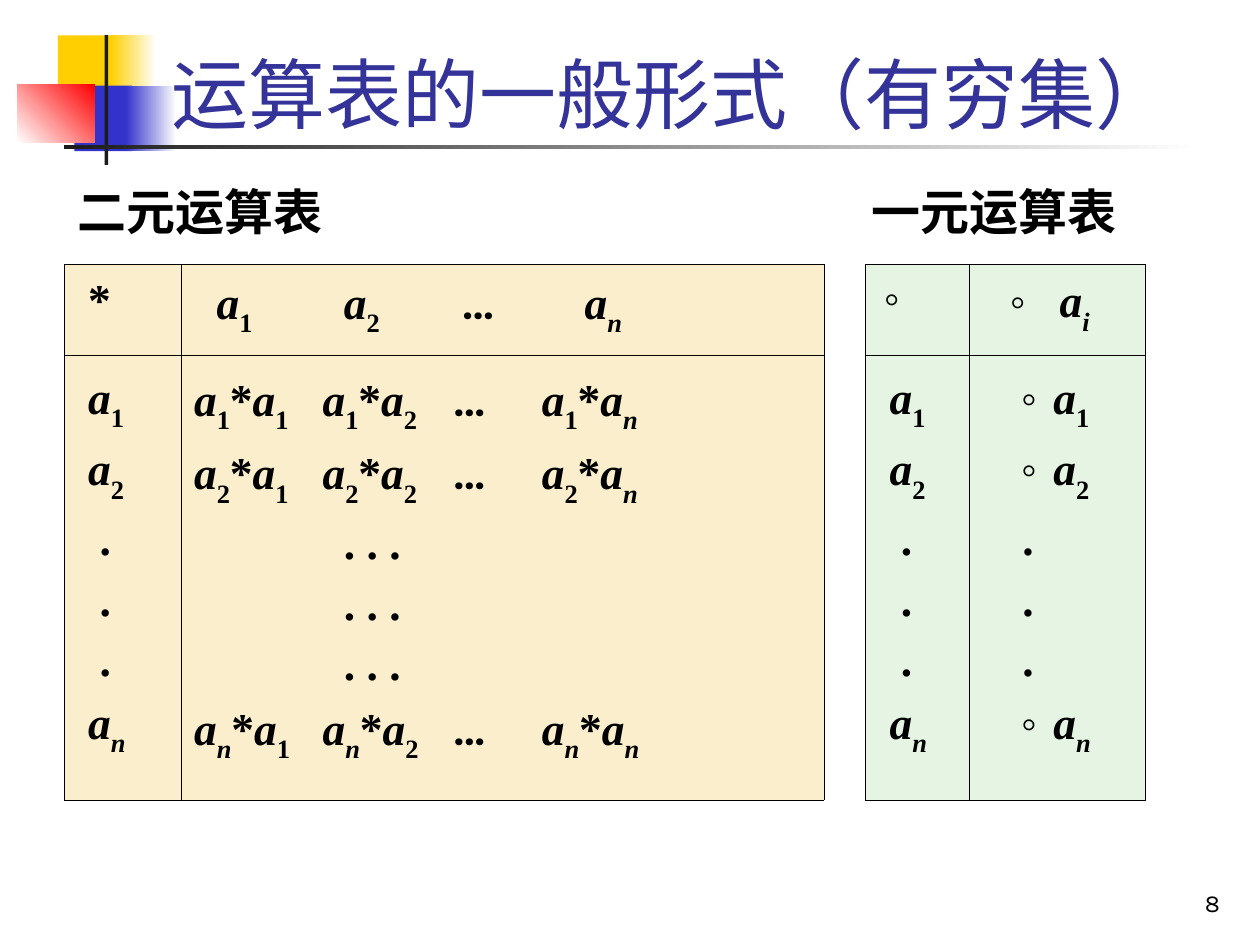
from lxml import etree
from pptx import Presentation
from pptx.dml.color import RGBColor
from pptx.enum.shapes import MSO_SHAPE
from pptx.enum.text import MSO_ANCHOR, PP_ALIGN
from pptx.oxml.ns import qn
from pptx.util import Inches, Pt

RECTANGLE = MSO_SHAPE.RECTANGLE
BOTTOM, TOP = MSO_ANCHOR.BOTTOM, MSO_ANCHOR.TOP
LEFT, RIGHT = PP_ALIGN.LEFT, PP_ALIGN.RIGHT

WHITE, BLACK, CHARCOAL = "FFFFFF", "000000", "1C1C1C"
YELLOW, BLUE, RED = "FFCF01", "3333CC", "FF0000"
TITLE_BLUE, CREAM, MINT = "333399", "FBEECD", "E6F5E3"
SERIF = "Times New Roman"
SYMBOL_FONTS = {"…": "Roboto", "◦": "Courier New"}

# Left, top, width, height in grid units; colours from left to right; angle
ORNAMENTS = [
    (4.6, 2.8, 4.8, 5.2, [YELLOW], 0),
    (8.8, 2.8, 3.6, 5.2, [YELLOW, WHITE], 0),
    (5.9, 6.8, 4.6, 5.2, [BLUE], 0),
    (10, 6.8, 4, 5.2, [BLUE, WHITE], 0),
    (1.4, 6.7, 6.1, 4.6, [WHITE, RED], 45),
    (8.3, 2.8, 0.3, 10.3, [CHARCOAL], 0),
    (5.1, 11.5, 90, 0.3, [CHARCOAL, WHITE], 0),
]

COLUMN_WIDTHS = [9.3, 51, 3.3, 8.2, 14]
ROW_HEIGHTS = [7.2, 35.3]
COLUMN_FILLS = [CREAM, CREAM, None, MINT, MINT]
GAP_COLUMN = COLUMN_FILLS.index(None)

# Tab stops in grid units
LABEL_TABS, DOT_TABS = [0.9], [1.8]
HEADER_TABS, PRODUCT_TABS = [1.8, 11.9, 21.2, 31], [10.2, 20.5, 27.6]
UNARY_HEADER_TABS, UNARY_TABS, UNARY_DOT_TABS = [1.8, 6.2], [2.7, 5.7], [3.25]
INDICES = ["1", "2", None, None, None, "n"]


def grid(units):
    """Convert units of a grid 100 columns wide and 75 rows high."""
    return Inches(units / 10)


def color(value):
    return RGBColor.from_string(value)


def add_ornament(slide, left, top, width, height, colors, angle):
    shape = slide.shapes.add_shape(RECTANGLE, *map(grid, (left, top, width, height)))
    shape.shadow.inherit = False
    shape.line.fill.background()
    if len(colors) == 1:
        shape.fill.solid()
        shape.fill.fore_color.rgb = color(colors[0])
        return
    shape.fill.gradient()
    shape.fill.gradient_angle = angle
    for stop, value in zip(shape.fill.gradient_stops, colors):
        stop.color.rgb = color(value)


def add_run(paragraph, text, text_color=BLACK, **font_values):
    run = paragraph.add_run()
    run.text = text
    for name, value in font_values.items():
        setattr(run.font, name, value)
    run.font.color.rgb = color(text_color)
    return run


def add_text(slide, box, text, text_color=BLACK, anchor=TOP, align=LEFT, wrap=True, **font_values):
    frame = slide.shapes.add_textbox(*map(grid, box)).text_frame
    frame.word_wrap = wrap
    frame.vertical_anchor = anchor
    frame.paragraphs[0].alignment = align
    add_run(frame.paragraphs[0], text, text_color, **font_values)


def set_tabs(paragraph, positions):
    properties = paragraph._p.get_or_add_pPr()
    tab_list = etree.SubElement(properties, qn("a:tabLst"))
    for position in positions:
        etree.SubElement(tab_list, qn("a:tab"), pos=str(int(grid(position))), algn="l")


def write_formula(paragraph, formula, tabs, spacing):
    """Write letters in italics and a character after "_" as a subscript."""
    paragraph.line_spacing = spacing
    set_tabs(paragraph, tabs)
    subscript = False
    for character in formula:
        if character == "_":
            subscript = True
            continue
        run = add_run(paragraph, character, size=Pt(26), bold=True,
                      italic=character in "ain", name=SYMBOL_FONTS.get(character, SERIF))
        if subscript:
            run.font._element.set("baseline", "-30000")
        subscript = False


def write_cell(cell, lines, spacing):
    """Write (formula, tabs) pairs, one paragraph each."""
    frame = cell.text_frame
    for number, (formula, tabs) in enumerate(lines):
        paragraph = frame.add_paragraph() if number else frame.paragraphs[0]
        write_formula(paragraph, formula, tabs, spacing)


def set_borders(cell, visible_sides):
    properties = cell._tc.get_or_add_tcPr()
    for position, side in enumerate("LRTB"):
        line = etree.Element(qn(f"a:ln{side}"), w=str(int(Pt(0.45))))
        if side in visible_sides:
            fill = etree.SubElement(line, qn("a:solidFill"))
            etree.SubElement(fill, qn("a:srgbClr"), val=BLACK)
        else:
            etree.SubElement(line, qn("a:noFill"))
        properties.insert(position, line)


def body_lines(template, tabs, dots, dot_tabs):
    """Fill the template for each index, with dots for the omitted rows."""
    return [(template.format(index), tabs) if index else (dots, dot_tabs)
            for index in INDICES]


def add_operation_table(slide):
    frame = slide.shapes.add_table(
        len(ROW_HEIGHTS), len(COLUMN_WIDTHS), grid(5.1), grid(21),
        grid(sum(COLUMN_WIDTHS)), grid(sum(ROW_HEIGHTS)))
    table = frame.table
    table.first_row = table.horz_banding = False
    for column, width in zip(table.columns, COLUMN_WIDTHS):
        column.width = grid(width)
    for row, height in zip(table.rows, ROW_HEIGHTS):
        row.height = grid(height)
    table.cell(0, GAP_COLUMN).merge(table.cell(1, GAP_COLUMN))

    for row in table.rows:
        for cell, fill in zip(row.cells, COLUMN_FILLS):
            if fill:
                cell.fill.solid()
                cell.fill.fore_color.rgb = color(fill)
            else:
                cell.fill.background()
            set_borders(cell, "LRTB" if fill else "LR")

    labels = body_lines("\ta_{}", LABEL_TABS, "\t.", DOT_TABS)
    contents = {
        (0, 0): [("\t*", LABEL_TABS)],
        (0, 1): [("\ta_1\ta_2\t…\ta_n", HEADER_TABS)],
        (0, 3): [("◦", [])],
        (0, 4): [("\t◦\ta_i", UNARY_HEADER_TABS)],
        (1, 0): labels,
        (1, 1): body_lines("a_{0}*a_1\ta_{0}*a_2\t…\ta_{0}*a_n", PRODUCT_TABS,
                           "\t. . .", HEADER_TABS[1:2]),
        (1, 3): labels,
        (1, 4): body_lines("\t◦\ta_{}", UNARY_TABS, "\t.", UNARY_DOT_TABS),
    }
    for (row, column), lines in contents.items():
        write_cell(table.cell(row, column), lines, 1.2 if row else 1.1)


def main():
    presentation = Presentation()
    presentation.slide_width, presentation.slide_height = grid(100), grid(75)
    slide = presentation.slides.add_slide(presentation.slide_layouts[6])
    for ornament in ORNAMENTS:
        add_ornament(slide, *ornament)
    add_text(slide, (77, 68.3, 20.8, 5), "8", anchor=BOTTOM, align=RIGHT,
             size=Pt(14), name="Karla")
    add_text(slide, (12.6, 0.8, 85.2, 10.7), "运算表的一般形式（有穷集）", TITLE_BLUE,
             anchor=BOTTOM, size=Pt(44), name="Karla")
    add_operation_table(slide)
    for left, heading in ((5.2, "二元运算表"), (68.2, "一元运算表")):
        add_text(slide, (left, 13.9, 21.4, 5.7), heading, wrap=False,
                 size=Pt(28), bold=True, name=SERIF)
    presentation.save("out.pptx")


if __name__ == "__main__":
    main()
